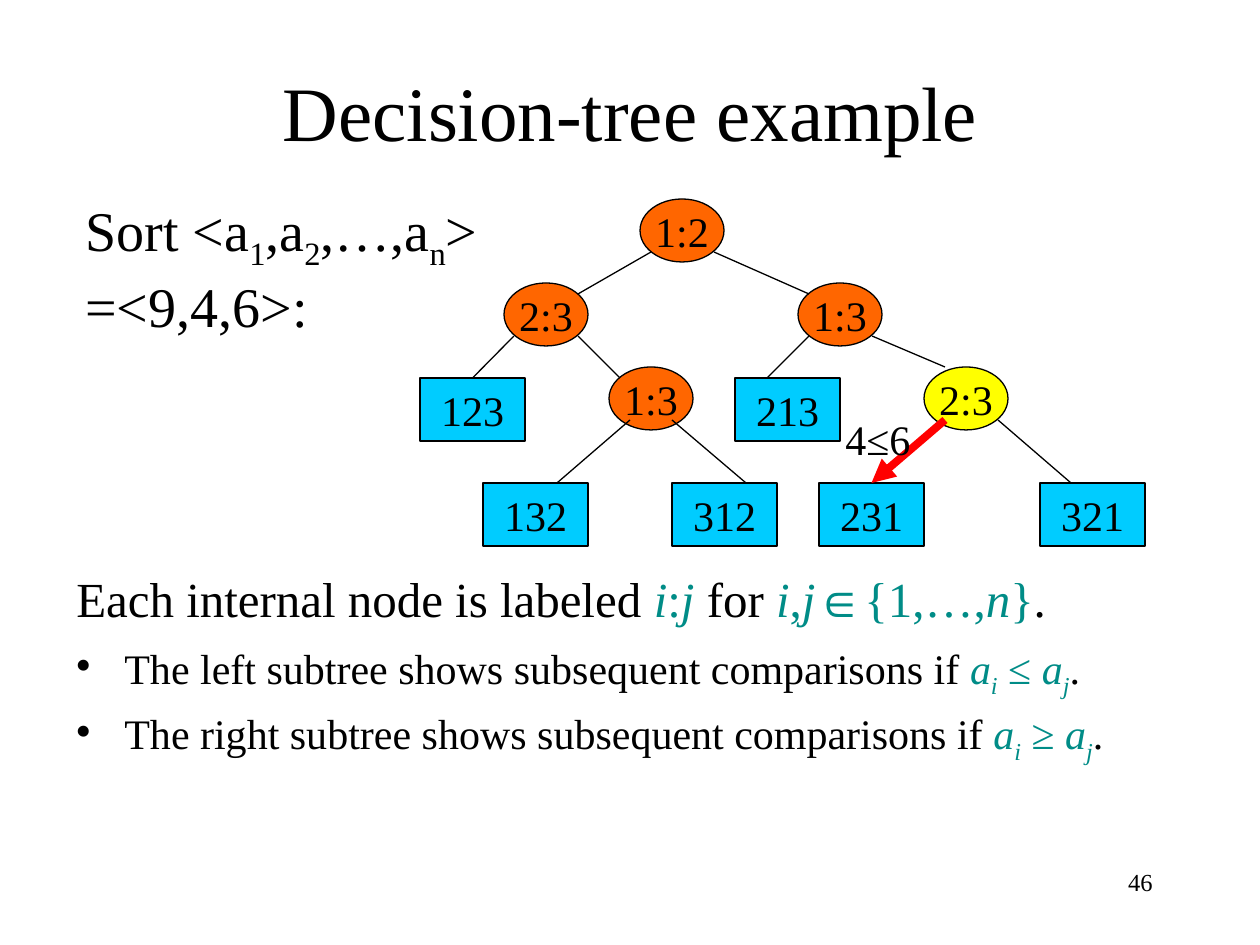
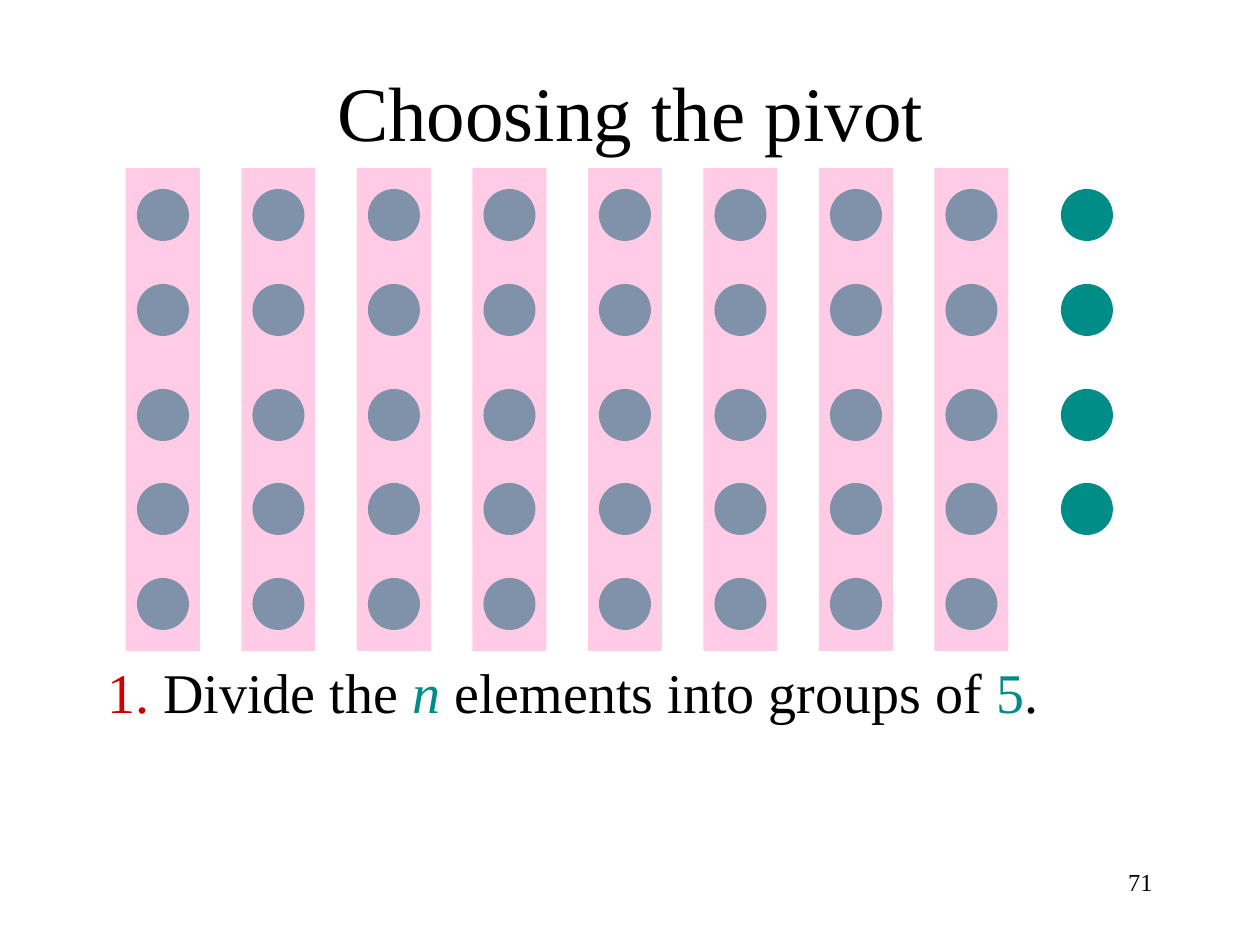
from pptx import Presentation
from pptx.dml.color import RGBColor
from pptx.enum.shapes import MSO_CONNECTOR as Link, MSO_SHAPE as Kind
from pptx.enum.text import MSO_ANCHOR as Anchor, MSO_AUTO_SIZE as Fit, PP_ALIGN as Align
from pptx.oxml.ns import qn
from pptx.util import Emu, Pt
from lxml.etree import SubElement

FACE = "Times New Roman"
BLACK = RGBColor(0x00, 0x00, 0x00)
TEAL = RGBColor(0x00, 0x8C, 0x87)
RED = RGBColor(0xFF, 0x00, 0x00)
BRICK = RGBColor(0xCD, 0x00, 0x00)
ORANGE = RGBColor(0xFF, 0x66, 0x00)
YELLOW = RGBColor(0xFF, 0xFF, 0x00)
CYAN = RGBColor(0x00, 0xCC, 0xFF)
PINK = RGBColor(0xFF, 0x99, 0xCC)

STYLES = {
    "plain": {},
    "low": {},
    "num": {"color": BRICK},
    "math": {"color": TEAL},
    "var": {"color": TEAL, "italic": True},
    "sub": {"color": TEAL, "italic": True},
}
LOWERED = ("low", "sub")

TITLE = (95, 32, 1071, 157)
PAGE = (903, 861, 262, 63)

SORT = [
    [("Sort <a", "plain"), ("1", "low"), (",a", "plain"), ("2", "low"),
     (",…,a", "plain"), ("n", "low"), (">", "plain")],
    [("=<9,4,6>:", "plain")],
]
LABELS = [[
    ("Each internal node is labeled ", "plain"), ("i", "var"), (":", "math"),
    ("j ", "var"), ("for ", "plain"), ("i", "var"), (",", "math"), ("j", "var"),
    ("∈{1,…,", "math"), ("n", "var"), ("}", "math"), (".", "plain"),
]]
SIDES = [("left", "≤"), ("right", "≥")]
RULES = [
    [(f"The {side} subtree shows subsequent comparisons if ", "plain"),
     ("a", "var"), ("i", "sub"), (f" {sign} ", "math"),
     ("a", "var"), ("j", "sub"), (".", "plain")]
    for side, sign in SIDES
]
STEP = [[
    ("1. ", "num"), ("Divide the ", "plain"), ("n ", "var"),
    ("elements into groups of ", "plain"), ("5", "math"), (".", "plain"),
]]

NODE = (84, 63)
NODES = [
    ("1:2", 640, 199, ORANGE), ("2:3", 924, 367, YELLOW), ("1:3", 609, 367, ORANGE),
    ("1:3", 798, 283, ORANGE), ("2:3", 504, 283, ORANGE),
]
LEAF = (105, 63)
LEAVES = [
    ("123", 420, 378), ("213", 735, 378), ("312", 672, 483),
    ("132", 483, 483), ("231", 819, 483), ("321", 1040, 483),
]
EDGES = [
    ((651, 252), (578, 294), None), ((714, 252), (809, 294), None),
    ((514, 336), (473, 378), "123"), ((578, 336), (620, 378), None),
    ((630, 420), (557, 483), None), ((672, 420), (746, 483), None),
    ((998, 420), (1071, 483), None), ((872, 336), (945, 367), None),
    ((809, 336), (767, 378), None),
]
TAKEN = ((945, 420), (872, 483), "231")

ROWS = [189, 284, 389, 483, 578]
GROUPS, REST = 8, 4
DOT = 52
BAND = (126, 168, 74, 483)
PITCH = 115.5


def px(n):
    return Emu(round(n * 914400 / 126))


def put(item, **values):
    for name, value in values.items():
        setattr(item, name, value)


def place(shape, box):
    names = ("left", "top", "width", "height")
    put(shape, **{name: px(n) for name, n in zip(names, box)})


def style(font, size, color=BLACK, **extra):
    put(font, name=FACE, size=Pt(size), **extra)
    font.color.rgb = color


def write(frame, paras, size, align=Align.LEFT, bullet=False, gap=0):
    for n, runs in enumerate(paras):
        para = frame.paragraphs[0] if n == 0 else frame.add_paragraph()
        para.alignment = align
        if n and gap:
            para.space_before = Pt(gap)
        if bullet:
            props = para._p.get_or_add_pPr()
            props.set("marL", str(px(48)))
            props.set("indent", str(-px(48)))
            SubElement(props, qn("a:buChar")).set("char", "•")
        style(para.font, size)
        for text, key in runs:
            run = para.add_run()
            run.text = text
            style(run.font, size, **STYLES[key])
            if key in LOWERED:
                run._r.get_or_add_rPr().set("baseline", "-25000")


def label(slide, box, paras, size, wrap=True, **extra):
    frame = slide.shapes.add_textbox(*map(px, box)).text_frame
    frame.word_wrap = wrap
    write(frame, paras, size, **extra)


def start(deck, title, page):
    slide = deck.slides.add_slide(deck.slide_layouts[5])
    head = slide.shapes.title
    place(head, TITLE)
    put(head.text_frame, vertical_anchor=Anchor.MIDDLE, auto_size=Fit.NONE, word_wrap=True)
    write(head.text_frame, [[(title, "plain")]], 44, Align.CENTER)
    label(slide, PAGE, [[(page, "plain")]], 14, align=Align.RIGHT)
    return slide


def block(slide, kind, box, fill, text=None):
    shape = slide.shapes.add_shape(kind, *map(px, box))
    shape.shadow.inherit = False
    shape.fill.solid()
    shape.fill.fore_color.rgb = fill
    if text is None:
        shape.line.fill.background()
        return shape
    shape.line.color.rgb = BLACK
    shape.line.width = Pt(0.75)
    put(shape.text_frame, word_wrap=False, vertical_anchor=Anchor.MIDDLE)
    write(shape.text_frame, [[(text, "plain")]], 24, Align.CENTER)
    return shape


def edge(slide, leaves, tail, tip, leaf, color=BLACK, width=0.75):
    line = slide.shapes.add_connector(Link.STRAIGHT, *map(px, tail + tip))
    line.line.color.rgb = color
    line.line.width = Pt(width)
    SubElement(line._element.spPr, qn("a:effectLst"))
    if leaf:
        line.end_connect(leaves[leaf], 0)
    return line


def tree(deck):
    slide = start(deck, "Decision-tree example", "46")
    label(slide, (64, 562, 1071, 70), LABELS, 28)
    label(slide, (64, 636, 1071, 140), RULES, 24, bullet=True, gap=4.8)
    for text, x, y, fill in NODES:
        block(slide, Kind.OVAL, (x, y, *NODE), fill, text)
    leaves = {text: block(slide, Kind.RECTANGLE, (x, y, *LEAF), CYAN, text)
              for text, x, y in LEAVES}
    for ends in EDGES:
        edge(slide, leaves, *ends)
    arrow = edge(slide, leaves, *TAKEN, color=RED, width=4.5)
    SubElement(arrow.line._get_or_add_ln(), qn("a:tailEnd")).set("type", "triangle")
    label(slide, (73, 189, 432, 147), SORT, 32, wrap=False)
    label(slide, (833, 407, 91, 63), [[("4≤6", "plain")]], 24, wrap=False)


def pivot(deck):
    slide = start(deck, "Choosing the pivot", "71")
    label(slide, (95, 651, 1071, 80), STEP, 32)
    left, top, wide, high = BAND
    inset = (wide - DOT) / 2
    for col in range(GROUPS + 1):
        for y in ROWS if col < GROUPS else ROWS[:REST]:
            block(slide, Kind.OVAL, (left + col * PITCH + inset, y, DOT, DOT), TEAL)
    for col in range(GROUPS):
        band = block(slide, Kind.RECTANGLE, (left + col * PITCH, top, wide, high), PINK)
        tint = band._element.spPr.find(qn("a:solidFill"))[0]
        SubElement(tint, qn("a:alpha")).set("val", "50000")


def main():
    deck = Presentation()
    put(deck, slide_width=px(1260), slide_height=px(945))
    tree(deck)
    pivot(deck)
    deck.save("out.pptx")


if __name__ == "__main__":
    main()
